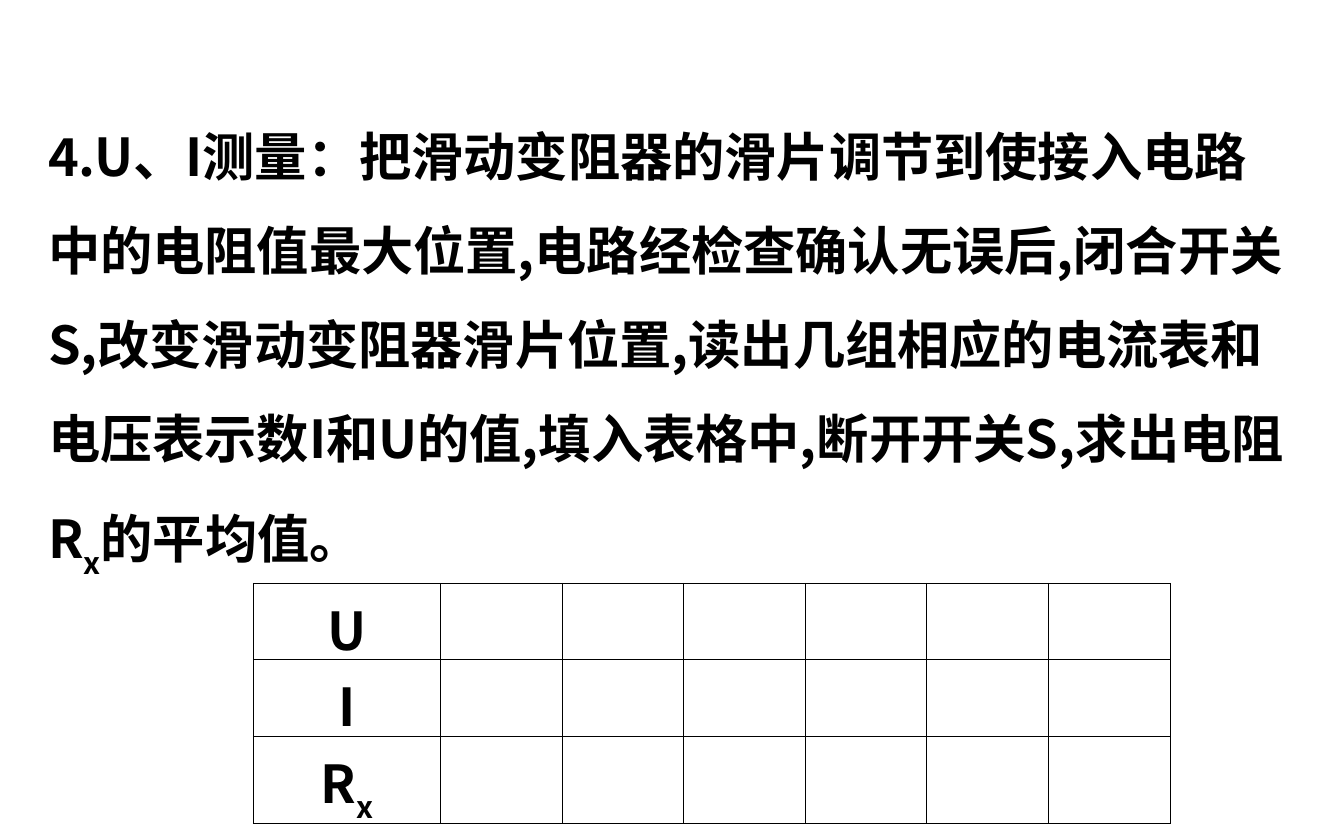
import pptx
import pptx.dml.color
import pptx.enum.text
import pptx.oxml
import pptx.oxml.ns
import pptx.util
from lxml import etree
from pptx.util import Cm

BLACK = pptx.dml.color.RGBColor(0x00, 0x00, 0x00)
FONT_NAME = "Noto Sans CJK SC"
TEXT_FORMAT = {"size": pptx.util.Pt(28), "bold": True, "name": FONT_NAME}
INNER_LINE, OUTER_LINE = 0.45, 0.75

INSTRUCTION = [
    ("4.U、I测量：把滑动变阻器的滑片调节到使接入电路中的电阻值最大位置,"
     "电路经检查确认无误后,闭合开关S,改变滑动变阻器滑片位置,"
     "读出几组相应的电流表和电压表示数I和U的值,填入表格中,断开开关S,求出电阻R", False),
    ("x", True),
    ("的平均值。", False),
]
ROW_LABELS = [[("U", False)], [("I", False)], [("R", False), ("x", True)]]
ROW_HEIGHTS = [Cm(1.44), Cm(1.44), Cm(1.66)]
COLUMN_WIDTHS = [Cm(3.53)] + [Cm(2.3)] * 6


def add_spans(para, spans):
    """Write (text, is_subscript) spans in the common text format."""
    for text, is_subscript in spans:
        span = para.add_run()
        span.text = text
        for name, value in TEXT_FORMAT.items():
            setattr(span.font, name, value)
        span.font.color.rgb = BLACK
        properties = span.font._element
        east_asian = etree.SubElement(properties, pptx.oxml.ns.qn("a:ea"))
        east_asian.set("typeface", FONT_NAME)
        if is_subscript:
            properties.set("baseline", "-30000")


def add_instruction(slide):
    box = slide.shapes.add_textbox(Cm(0.66), Cm(1.63), Cm(23.95), Cm(9.47))
    box.text_frame.word_wrap = True
    para = box.text_frame.paragraphs[0]
    para.line_spacing = 1.5
    add_spans(para, INSTRUCTION)


def set_borders(cell, widths):
    """Draw the cell's sides; widths maps L, R, T, B to points."""
    properties = cell._tc.get_or_add_tcPr()
    for index, (side, width) in enumerate(widths.items()):
        line = pptx.oxml.parse_xml(
            f'<a:ln{side} {pptx.oxml.ns.nsdecls("a")} w="{pptx.util.Pt(width)}">'
            f'<a:solidFill><a:srgbClr val="{BLACK}"/></a:solidFill></a:ln{side}>')
        properties.insert(index, line)


def add_record_table(slide):
    row_count, column_count = len(ROW_HEIGHTS), len(COLUMN_WIDTHS)
    table = slide.shapes.add_table(
        row_count, column_count, Cm(4.79), Cm(11.03),
        sum(COLUMN_WIDTHS), sum(ROW_HEIGHTS)).table
    table.first_row = table.horz_banding = False
    for column, width in zip(table.columns, COLUMN_WIDTHS):
        column.width = width
    for row, height in zip(table.rows, ROW_HEIGHTS):
        row.height = height

    # Heavier lines on the outside, lighter ones inside
    for r in range(row_count):
        for c in range(column_count):
            cell = table.cell(r, c)
            cell.fill.background()
            outer = {"L": c == 0, "R": c == column_count - 1,
                     "T": r == 0, "B": r == row_count - 1}
            set_borders(cell, {side: OUTER_LINE if is_outer else INNER_LINE
                               for side, is_outer in outer.items()})

    # Quantity names in the first column
    for r, spans in enumerate(ROW_LABELS):
        cell = table.cell(r, 0)
        cell.vertical_anchor = pptx.enum.text.MSO_ANCHOR.MIDDLE
        para = cell.text_frame.paragraphs[0]
        para.alignment = pptx.enum.text.PP_ALIGN.CENTER
        add_spans(para, spans)


def main():
    deck = pptx.Presentation()
    deck.slide_width, deck.slide_height = Cm(25.4), Cm(15.88)
    slide = deck.slides.add_slide(deck.slide_layouts[6])
    add_instruction(slide)
    add_record_table(slide)
    deck.save("out.pptx")


if __name__ == "__main__":
    main()
